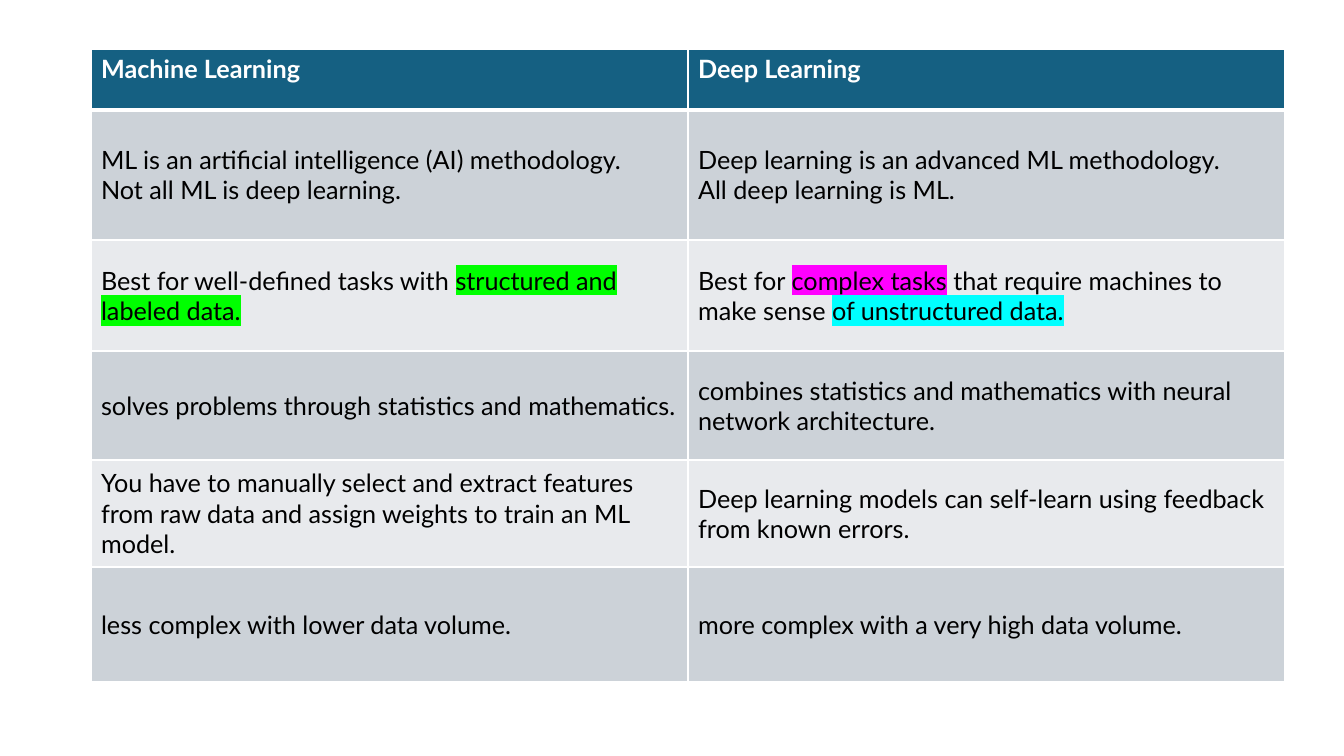
from dataclasses import dataclass

from lxml.etree import SubElement
from pptx import Presentation
from pptx.dml.color import RGBColor
from pptx.enum.text import MSO_ANCHOR
from pptx.oxml.ns import qn
from pptx.table import _Cell
from pptx.util import Emu, Pt

EMU_PER_PX = 914400 / 100.8


@dataclass(frozen=True)
class Theme:
    font: str = "Lato"
    text_size: int = 18
    header_fill: str = "156082"
    header_text: str = "FFFFFF"
    body_text: str = "000000"
    bands: tuple[str, str] = ("CCD2D8", "E8EAED")
    rule: str = "FFFFFF"
    rule_width: int = 1
    header_rule_width: int = 3
    green: str = "00FF00"
    magenta: str = "FF00FF"
    cyan: str = "00FFFF"


THEME = Theme()


@dataclass(frozen=True)
class Span:
    text: str
    highlight: str = ""


@dataclass(frozen=True)
class Entry:
    paragraphs: tuple[tuple[Span, ...], ...]


@dataclass(frozen=True)
class ComparisonRow:
    height: int
    machine_learning: Entry
    deep_learning: Entry


def plain(*lines: str) -> Entry:
    return Entry(tuple((Span(line),) for line in lines))


def marked(*spans: Span) -> Entry:
    return Entry((spans,))


def px(length: int) -> Emu:
    return Emu(round(length * EMU_PER_PX))


# Content of the comparison, header first
ROWS = [
    ComparisonRow(61, plain("Machine Learning"), plain("Deep Learning")),
    ComparisonRow(
        130,
        plain("ML is an artificial intelligence (AI) methodology.",
              "Not all ML is deep learning."),
        plain("Deep learning is an advanced ML methodology.",
              "All deep learning is ML."),
    ),
    ComparisonRow(
        111,
        marked(Span("Best for well-defined tasks with "),
               Span("structured and labeled data.", THEME.green)),
        marked(Span("Best for "),
               Span("complex tasks", THEME.magenta),
               Span(" that require machines to make sense "),
               Span("of unstructured data.", THEME.cyan)),
    ),
    ComparisonRow(
        109,
        plain("solves problems through statistics and mathematics."),
        plain("combines statistics and mathematics with neural network architecture."),
    ),
    ComparisonRow(
        107,
        plain("You have to manually select and extract features from raw data "
              "and assign weights to train an ML model."),
        plain("Deep learning models can self-learn using feedback from known errors."),
    ),
    ComparisonRow(
        115,
        plain("less complex with lower data volume."),
        plain("more complex with a very high data volume."),
    ),
]
TABLE_LEFT, TABLE_TOP, COLUMN_WIDTH = 91, 49, 597


def add_borders(cell: _Cell, row_index: int) -> None:
    widths = dict.fromkeys(("lnL", "lnR", "lnT", "lnB"), THEME.rule_width)
    if row_index == 0:
        widths["lnB"] = THEME.header_rule_width
    elif row_index == 1:
        widths["lnT"] = THEME.header_rule_width
    properties = cell._tc.get_or_add_tcPr()
    for side, width in widths.items():
        border = SubElement(properties, qn(f"a:{side}"), w=str(Pt(width)))
        fill = SubElement(border, qn("a:solidFill"))
        SubElement(fill, qn("a:srgbClr"), val=THEME.rule)


def write_entry(cell: _Cell, entry: Entry, is_header: bool) -> None:
    frame = cell.text_frame
    for index, spans in enumerate(entry.paragraphs):
        paragraph = frame.add_paragraph() if index else frame.paragraphs[0]
        for span in spans:
            run = paragraph.add_run()
            run.text = span.text
            font = run.font
            font.size = Pt(THEME.text_size)
            font.bold = is_header
            font.color.rgb = RGBColor.from_string(
                THEME.header_text if is_header else THEME.body_text)
            if span.highlight:
                highlight = SubElement(font._element, qn("a:highlight"))
                SubElement(highlight, qn("a:srgbClr"), val=span.highlight)
            font.name = THEME.font


def draw_cell(cell: _Cell, entry: Entry, row_index: int) -> None:
    is_header = row_index == 0
    add_borders(cell, row_index)
    cell.fill.solid()
    cell.fill.fore_color.rgb = RGBColor.from_string(
        THEME.header_fill if is_header else THEME.bands[(row_index - 1) % 2])
    cell.vertical_anchor = MSO_ANCHOR.TOP if is_header else MSO_ANCHOR.MIDDLE
    write_entry(cell, entry, is_header)


def main() -> None:
    presentation = Presentation()
    presentation.slide_width = px(1344)
    presentation.slide_height = px(756)
    slide = presentation.slides.add_slide(presentation.slide_layouts[6])

    # Comparison table
    comparison = slide.shapes.add_table(
        len(ROWS), 2, px(TABLE_LEFT), px(TABLE_TOP),
        px(2 * COLUMN_WIDTH), px(sum(row.height for row in ROWS))).table
    comparison.horz_banding = False
    for column in comparison.columns:
        column.width = px(COLUMN_WIDTH)
    for row_index, row in enumerate(ROWS):
        comparison.rows[row_index].height = px(row.height)
        for column_index, entry in enumerate((row.machine_learning, row.deep_learning)):
            draw_cell(comparison.cell(row_index, column_index), entry, row_index)

    presentation.save("out.pptx")


if __name__ == "__main__":
    main()
